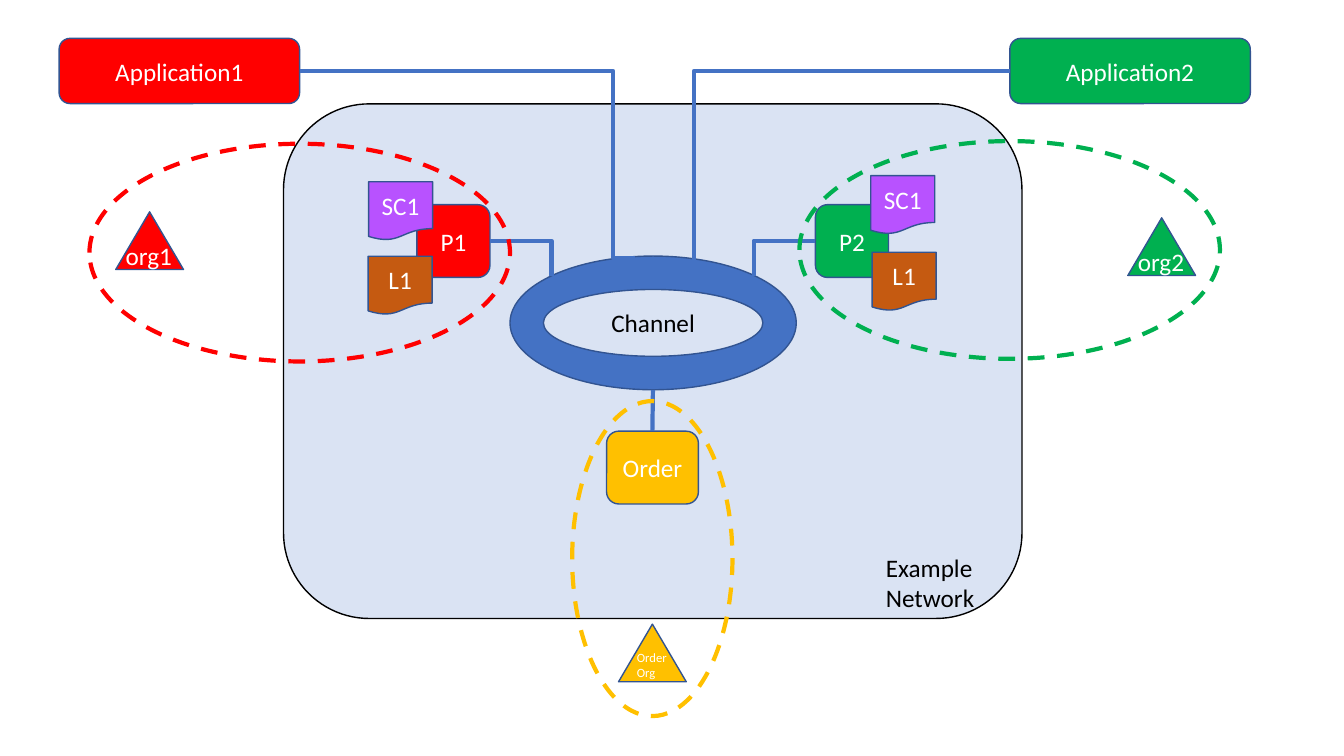
from lxml import etree
from pptx import Presentation
from pptx.dml.color import RGBColor
from pptx.enum.dml import MSO_LINE
from pptx.enum.shapes import MSO_CONNECTOR as LINK, MSO_SHAPE as KIND
from pptx.enum.text import MSO_ANCHOR, PP_ALIGN
from pptx.oxml.ns import qn
from pptx.util import Pt

RED, GREEN, GOLD = "FF0000", "00B050", "FFC000"
BLUE, EDGE, PALE = "4472C4", "325491", "DAE3F3"
PURPLE, BROWN, WHITE, BLACK = "B852FF", "C55A11", "FFFFFF", "000000"


def paint(target, color):
    """Give a fill, line fill or font the colour of a hex string."""
    if hasattr(target, "solid"):
        target.solid()
        target = target.fore_color
    else:
        target = target.color
    target.rgb = RGBColor.from_string(color)


def add_part(shapes, kind, box, fill=None, edge=EDGE, text="", ink=WHITE, size=18):
    """Add a preset shape, or a left-aligned text box when kind is None."""
    place = [Pt(length) for length in box]
    if kind is None:
        part = shapes.add_textbox(*place)
        layout = {"word_wrap": True}
    else:
        part = shapes.add_shape(kind, *place)
        part.shadow.inherit = False
        if fill:
            paint(part.fill, fill)
        else:
            part.fill.background()
        paint(part.line.fill, edge)
        part.line.width = Pt(1)
        layout = {"word_wrap": True, "vertical_anchor": MSO_ANCHOR.MIDDLE}
    for name, value in layout.items():
        setattr(part.text_frame, name, value)
    if text:
        paragraph = part.text_frame.paragraphs[0]
        paragraph.alignment = PP_ALIGN.LEFT if kind is None else PP_ALIGN.CENTER
        run = paragraph.add_run()
        for target, name, value in ((run, "text", text), (run.font, "name", "Calibri"),
                                    (run.font, "size", Pt(size))):
            setattr(target, name, value)
        paint(run.font, ink)
    return part


deck = Presentation()
deck.slide_width, deck.slide_height = Pt(960), Pt(540)
canvas = deck.slides.add_slide(deck.slide_layouts[6]).shapes

# The network and its caption
add_part(canvas, KIND.ROUNDED_RECTANGLE, (202.5, 74.2, 527.5, 367.6), PALE, BLACK)
add_part(canvas, None, (625.7, 391, 88.6, 51), text="Example Network", ink=BLACK)

# Organisations: triangle with a label laid over it
for left, top, color, name, size, shift, drop in (
        (82.7, 151.3, RED, "org1", 18, 0, 16.6),
        (805.6, 155.6, GREEN, "org2", 18, 0, 16.6),
        (441.8, 445.8, GOLD, "Order Org", 9, 6, 15)):
    organisation = canvas.add_group_shape().shapes
    add_part(organisation, KIND.ISOSCELES_TRIANGLE, (left, top, 48.4, 41.2), color)
    add_part(organisation, None, (left + shift, top + drop, 48.4, 29), text=name, size=size)

# Peers, orderer, applications and the channel
for box, color, name in (
        ((297.8, 146.2, 52.2, 52), RED, "P1"),
        ((582.5, 146.2, 52.2, 52), GREEN, "P2"),
        ((433.3, 308, 65.6, 52), GOLD, "Order"),
        ((42.2, 27.4, 171.8, 46.6), RED, "Application1"),
        ((721.3, 27.4, 171.8, 46.6), GREEN, "Application2")):
    add_part(canvas, KIND.ROUNDED_RECTANGLE, box, color, text=name)
add_part(canvas, KIND.DONUT, (364.3, 182.9, 204.5, 95.5), BLUE, text="Channel", ink=BLACK)

# Links into the channel; turn is the share of the width before the bend
for ends, preset, turn in (
        ((350, 172, 394, 197.5), "bentConnector2", None),
        ((582.5, 172, 538.5, 197.5), "bentConnector2", None),
        ((466.4, 278.5, 466, 308), "line", None),
        ((214, 50.7, 453.5, 184.3), "bentConnector3", 0.935),
        ((721.3, 50.7, 465.3, 196.5), "bentConnector3", 0.881)):
    link = canvas.add_connector(LINK.ELBOW, *[Pt(length) for length in ends])
    paint(link.line.fill, BLUE)
    link.line.width = Pt(3)
    properties = link._element.spPr
    etree.SubElement(properties, qn("a:effectLst"))
    geometry = properties.find(qn("a:prstGeom"))
    geometry.set("prst", preset)
    if turn:
        guide = etree.SubElement(geometry.find(qn("a:avLst")), qn("a:gd"))
        guide.set("name", "adj1")
        guide.set("fmla", f"val {round(turn * 100000)}")

# Smart contracts and ledgers beside each peer
for left, top, color, name in (
        (263.3, 129.8, PURPLE, "SC1"), (263, 183, BROWN, "L1"),
        (622, 125.4, PURPLE, "SC1"), (623, 180.2, BROWN, "L1")):
    add_part(canvas, KIND.FLOWCHART_DOCUMENT, (left, top, 45.7, 41.8), color, text=name)

# Dashed boundary of each organisation
for box, color in (
        ((63.9, 102.7, 300.4, 155.5), RED),
        ((571, 100.8, 300.4, 155.5), GREEN),
        ((408.7, 286.5, 114.5, 225), GOLD)):
    boundary = add_part(canvas, KIND.OVAL, box, edge=color)
    for name, value in {"width": Pt(3), "dash_style": MSO_LINE.DASH}.items():
        setattr(boundary.line, name, value)

deck.save("out.pptx")
